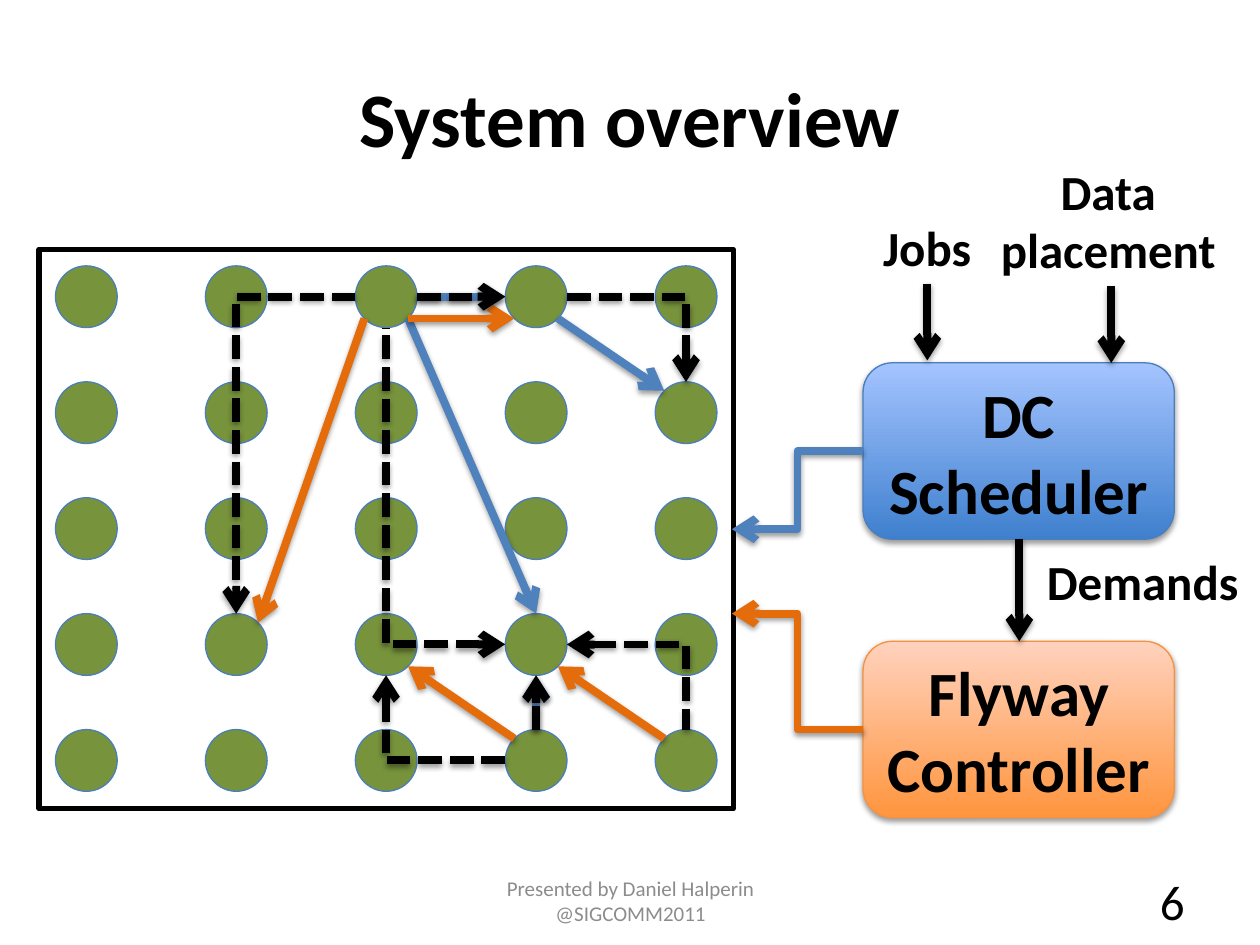
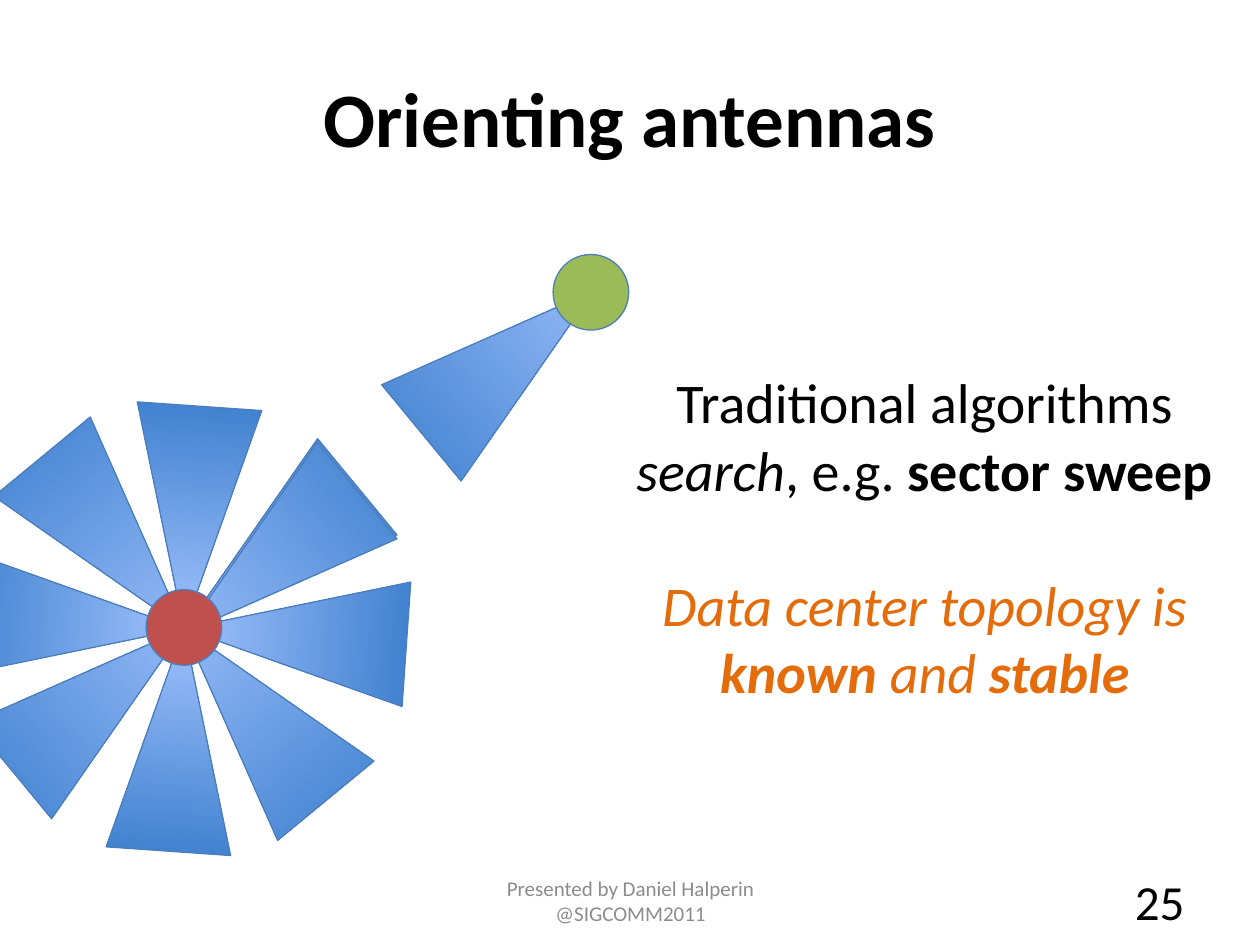
from math import cos, radians, sin

from lxml import etree
from pptx import Presentation
from pptx.dml.color import RGBColor
from pptx.enum.dml import MSO_LINE
from pptx.enum.shapes import MSO_CONNECTOR, MSO_SHAPE
from pptx.enum.text import MSO_ANCHOR, PP_ALIGN
from pptx.oxml import parse_xml
from pptx.oxml.ns import qn
from pptx.util import Inches, Pt

STRAIGHT, ELBOW = MSO_CONNECTOR.STRAIGHT, MSO_CONNECTOR.ELBOW
OVAL, RECT = MSO_SHAPE.OVAL, MSO_SHAPE.RECTANGLE
ROUNDED, TRIANGLE = MSO_SHAPE.ROUNDED_RECTANGLE, MSO_SHAPE.ISOSCELES_TRIANGLE
LEFT, CENTER, RIGHT = PP_ALIGN.LEFT, PP_ALIGN.CENTER, PP_ALIGN.RIGHT
MIDDLE = MSO_ANCHOR.MIDDLE
DASH = MSO_LINE.SQUARE_DOT

FONT = "Calibri"
BLACK, GREY = "000000", "8C8C8C"
BLUE, ORANGE, OUTLINE = "4F81BD", "E46C0A", "4B7EBC"
NODE_GREEN, RED, GREEN = "77933C", "C0504D", "9BBB59"
BLUE_FADE = ("3F80CE", "A4C4FF")
ORANGE_FADE = ("FF953E", "FFD2BD")
SHADOW = (
    '<a:effectLst xmlns:a="http://schemas.openxmlformats.org/drawingml/2006/main">'
    '<a:outerShdw blurRad="40000" dist="20000" dir="5400000" rotWithShape="0">'
    '<a:srgbClr val="000000"><a:alpha val="38000"/></a:srgbClr>'
    "</a:outerShdw></a:effectLst>"
)


def paint(s, fill, line, width=0.75):
    """Fill with a hex colour, a bottom-to-top pair of them, or nothing."""
    if fill is None:
        s.fill.background()
    elif isinstance(fill, tuple):
        s.fill.gradient()
        s.fill.gradient_angle = 90
        for stop, color in zip(s.fill.gradient_stops, fill):
            stop.color.rgb = RGBColor.from_string(color)
    else:
        s.fill.solid()
        s.fill.fore_color.rgb = RGBColor.from_string(fill)
    s.line.color.rgb = RGBColor.from_string(line)
    s.line.width = Pt(width)
    s.shadow.inherit = False


def write(p, text, color=BLACK, **font):
    """Add text to a paragraph, breaking the line at each vertical tab."""
    for i, line in enumerate(text.split("\v")):
        if i:
            p.add_line_break()
        r = p.add_run()
        r.text = line
        r.font.name = FONT
        r.font.color.rgb = RGBColor.from_string(color)
        for name, value in font.items():
            setattr(r.font, name, value)


prs = Presentation()
prs.slide_width, prs.slide_height = Inches(10), Inches(7.5)

# Title, page number and footer of every slide
slides = []
for title, number in (("System overview", "6"), ("Orienting antennas", "25")):
    slide = prs.slides.add_slide(prs.slide_layouts[5])
    slides.append(slide)
    sp = slide.shapes.title
    sp.left, sp.top, sp.width, sp.height = map(Inches, (0.5, 0.3, 9, 1.25))
    sp.text_frame.vertical_anchor = MIDDLE
    p = sp.text_frame.paragraphs[0]
    p.alignment = CENTER
    write(p, title, size=Pt(44), bold=True)
    for text, left, width, align, size, color in (
        (number, 7.17, 2.33, RIGHT, 28, BLACK),
        ("Presented by Daniel Halperin @SIGCOMM2011", 3.42, 3.17, CENTER, 12, GREY),
    ):
        sp = slide.shapes.add_textbox(*map(Inches, (left, 6.95, width, 0.4)))
        tf = sp.text_frame
        tf.word_wrap = True
        tf.vertical_anchor = MIDDLE
        tf.paragraphs[0].alignment = align
        write(tf.paragraphs[0], text, color, size=Pt(size))
overview, antennas = slides

# System overview: grid of nodes in a frame
shapes = overview.shapes
frame = shapes.add_shape(RECT, *map(Inches, (0.31, 1.98, 5.51, 4.44)))
paint(frame, None, BLACK, 3)

NODE = 0.49
site = {}  # (column, row, site index) -> (shape, site index, x, y)
for row in range(5):
    for col in range(5):
        left, top = 0.44 + 1.19 * col, 2.11 + 0.92 * row
        s = shapes.add_shape(OVAL, *map(Inches, (left, top, NODE, NODE)))
        paint(s, NODE_GREEN, OUTLINE)
        for k in range(8):  # counter-clockwise from the top
            angle = radians(90 + 45 * k)
            x = left + NODE / 2 * (1 + cos(angle))
            y = top + NODE / 2 * (1 - sin(angle))
            site[col, row, k] = (s, k, x, y)

boxes = []
for text, top, fade, line in (
    ("DC\vScheduler", 2.88, BLUE_FADE, OUTLINE),
    ("Flyway\vController", 5.09, ORANGE_FADE, "F69240"),
):
    s = shapes.add_shape(ROUNDED, *map(Inches, (6.85, top, 2.47, 1.4)))
    paint(s, fade, line)
    s.element.spPr.remove(s.element.spPr.find(qn("a:effectLst")))
    s.element.spPr.append(parse_xml(SHADOW))
    s.text_frame.vertical_anchor = MIDDLE
    p = s.text_frame.paragraphs[0]
    p.alignment = CENTER
    write(p, text, size=Pt(36), bold=True)
    boxes.append(s)
scheduler, controller = boxes

for text, box, align, wrap in (
    ("Jobs", (6.91, 1.68, 0.91, 0.57), LEFT, False),
    ("Data\vplacement", (7.48, 1.23, 2.63, 1.04), CENTER, True),
    ("Demands", (8.21, 4.33, 1.74, 0.57), LEFT, False),
):
    tf = shapes.add_textbox(*map(Inches, box)).text_frame
    tf.word_wrap = wrap
    tf.paragraphs[0].alignment = align
    write(tf.paragraphs[0], text, size=Pt(28), bold=True)

# Arrows: start, end, colour, preset, dash, arrowhead
LINE, BENT, CORNER = "line", "bentConnector3", "bentConnector2"
arrows = [
    ((None, 0, 7.36, 2.25), (None, 0, 7.36, 2.86), BLACK, LINE, None, "tailEnd"),
    ((None, 0, 8.82, 2.27), (None, 0, 8.82, 2.88), BLACK, LINE, None, "tailEnd"),
    ((scheduler, 2, 8.09, 4.28), (controller, 0, 8.09, 5.09),
     BLACK, LINE, None, "tailEnd"),
    ((scheduler, 1, 6.85, 3.58), (frame, 3, 5.81, 4.2), BLUE, BENT, None, "tailEnd"),
    ((controller, 1, 6.85, 5.79), (None, 0, 5.81, 4.87),
     ORANGE, BENT, None, "tailEnd"),
]
for start, end, color, preset, dash, head in (
    ((2, 0, 5), (3, 3, 0), BLUE, LINE, None, "tailEnd"),
    ((3, 0, 5), (4, 1, 1), BLUE, LINE, None, "tailEnd"),
    ((3, 4, 0), (3, 3, 4), BLUE, LINE, None, "tailEnd"),
    ((2, 0, 6), (3, 0, 2), BLUE, LINE, None, "tailEnd"),
    ((2, 0, 3), (1, 3, 7), ORANGE, LINE, None, "tailEnd"),
    ((4, 4, 1), (3, 3, 5), ORANGE, LINE, None, "tailEnd"),
    ((3, 4, 1), (2, 3, 5), ORANGE, LINE, None, "tailEnd"),
    ((2, 0, 5), (3, 0, 3), ORANGE, LINE, None, "tailEnd"),
    ((2, 0, 2), (1, 3, 0), BLACK, CORNER, DASH, "tailEnd"),
    ((3, 3, 2), (2, 0, 4), BLACK, CORNER, DASH, "headEnd"),
    ((3, 0, 6), (4, 1, 0), BLACK, CORNER, DASH, "tailEnd"),
    ((3, 3, 6), (4, 4, 0), BLACK, CORNER, DASH, "headEnd"),
    ((3, 4, 2), (2, 3, 4), BLACK, CORNER, DASH, "tailEnd"),
    ((3, 4, 0), (3, 3, 4), BLACK, LINE, DASH, "tailEnd"),
    ((2, 0, 6), (3, 0, 2), BLACK, LINE, DASH, "tailEnd"),
):
    arrows.append((site[start], site[end], color, preset, dash, head))

for start, end, color, preset, dash, head in arrows:
    kind = STRAIGHT if preset == LINE else ELBOW
    c = shapes.add_connector(kind, *map(Inches, start[2:] + end[2:]))
    c.line.color.rgb = RGBColor.from_string(color)
    c.line.width = Pt(4.5)
    if dash:
        c.line.dash_style = dash
    spPr = c.element.spPr
    spPr.find(qn("a:prstGeom")).set("prst", preset)
    etree.SubElement(spPr.find(qn("a:ln")), qn("a:" + head), type="arrow")
    spPr.append(parse_xml(SHADOW))
    glue = c.element.find(".//" + qn("p:cNvCxnSpPr"))
    for tag, (s, k, x, y) in (("a:stCxn", start), ("a:endCxn", end)):
        if s is not None:
            etree.SubElement(glue, qn(tag), id=str(s.shape_id), idx=str(k))

# Orienting antennas: beams placed by their tip and rotation
shapes = antennas.shapes
BEAM_W, BEAM_H = 0.99, 1.77
beams = [(1.47, 4.99, 230.5), (4.71, 2.31, 50.5), (1.47, 5.02, 230.5)]
beams += [(1.46, 4.99, angle) for angle in (140.5, 50.5, 320.5, 184, 274, 94, 4)]
for tip_x, tip_y, angle in beams:
    x = tip_x - BEAM_H / 2 * sin(radians(angle))
    y = tip_y + BEAM_H / 2 * cos(radians(angle))
    box = (x - BEAM_W / 2, y - BEAM_H / 2, BEAM_W, BEAM_H)
    s = shapes.add_shape(TRIANGLE, *map(Inches, box))
    s.rotation = angle
    paint(s, BLUE_FADE, OUTLINE)

for left, top, color in ((1.16, 4.68, RED), (4.39, 2.02, GREEN)):
    s = shapes.add_shape(OVAL, *map(Inches, (left, top, 0.6, 0.6)))
    paint(s, color, OUTLINE)

tf = shapes.add_textbox(*map(Inches, (4.91, 2.87, 4.86, 2.79))).text_frame
tf.word_wrap = True
search, topology = tf.paragraphs[0], tf.add_paragraph()
search.alignment = topology.alignment = CENTER
topology.space_before = Pt(39)
for p, text, color, bold, italic in (
    (search, "Traditional algorithms ", BLACK, False, False),
    (search, "search", BLACK, False, True),
    (search, ", e.g. ", BLACK, False, False),
    (search, "sector sweep", BLACK, True, False),
    (topology, "Data center topology is", ORANGE, False, True),
    (topology, " known ", ORANGE, True, True),
    (topology, "and", ORANGE, False, True),
    (topology, " stable", ORANGE, True, True),
):
    write(p, text, color, size=Pt(32), bold=bold, italic=italic)

prs.save("out.pptx")
